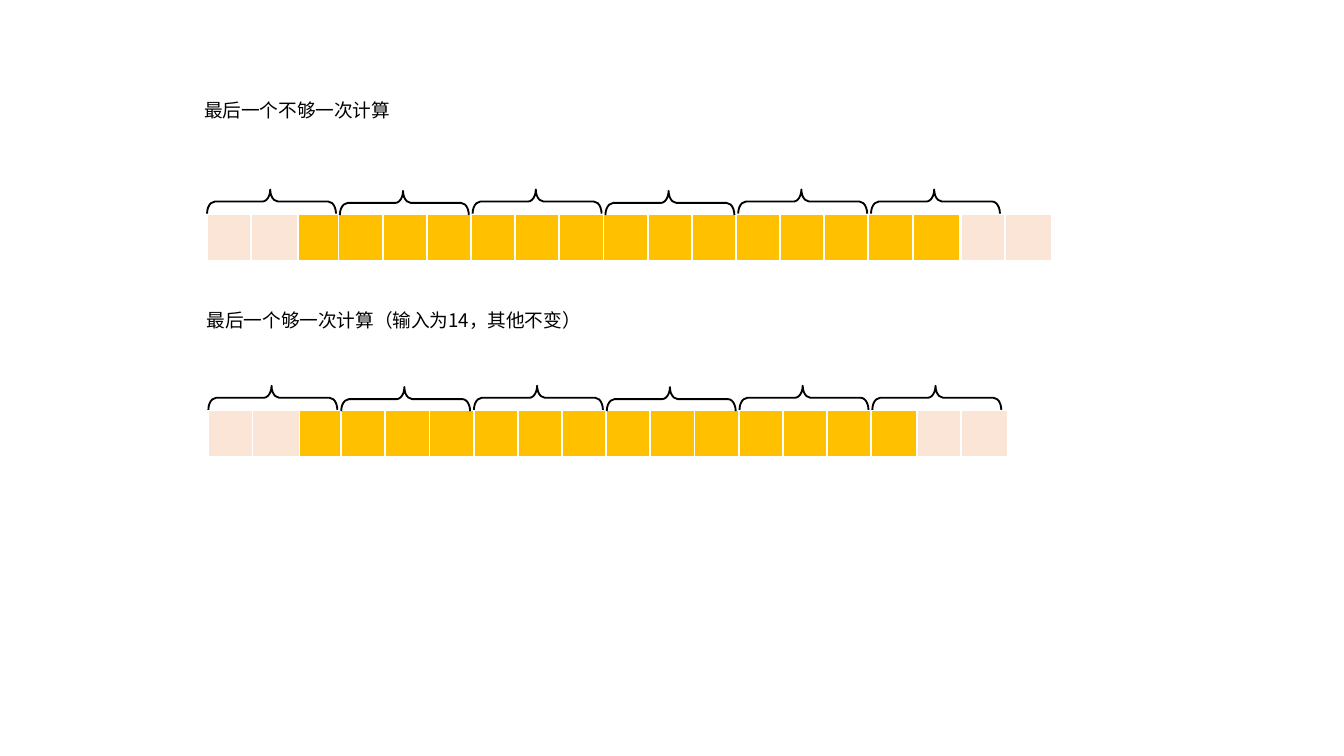
from dataclasses import dataclass

from lxml.etree import SubElement
from pptx import Presentation
from pptx.dml.color import RGBColor
from pptx.enum.shapes import MSO_SHAPE as Preset
from pptx.enum.text import MSO_AUTO_SIZE as AutoSize
from pptx.oxml.ns import qn
from pptx.slide import Slide
from pptx.util import Inches, Pt


@dataclass(frozen=True)
class Theme:
    data: RGBColor = RGBColor(0xFF, 0xC0, 0x00)
    padding: RGBColor = RGBColor(0xFB, 0xE5, 0xD6)
    border: RGBColor = RGBColor(0xFF, 0xFF, 0xFF)
    ink: RGBColor = RGBColor(0x00, 0x00, 0x00)
    font: str = "Noto Sans CJK SC"
    text_size: Pt = Pt(10)
    line_width: Pt = Pt(1)


@dataclass(frozen=True)
class CellRun:
    left: float
    count: int
    color: RGBColor


@dataclass(frozen=True)
class Sequence:
    caption: str
    caption_left: float
    caption_top: float
    caption_width: float
    cell_top: float
    brace_left: float
    runs: tuple[CellRun, ...]


THEME = Theme()
CELL_SIZE = 0.35
CELL_PITCH = 4.6 / 14
BRACE_WIDTH, BRACE_LENGTH = 0.18, 0.96
BRACE_COUNT = 6
BRACE_PITCH = 4.94 / (BRACE_COUNT - 1)
BRACE_RISE = 0.57

SEQUENCES = (
    Sequence("最后一个不够一次计算", 1.42, 0.69, 1.78, 1.59, 1.93, (
        CellRun(2.19, 15, THEME.data),
        CellRun(1.54, 2, THEME.padding),
        CellRun(7.15, 2, THEME.padding),
    )),
    Sequence("最后一个够一次计算（输入为14，其他不变）", 1.44, 2.25, 3.13, 3.05, 1.94, (
        CellRun(2.21, 14, THEME.data),
        CellRun(1.55, 2, THEME.padding),
        CellRun(6.82, 2, THEME.padding),
    )),
)


def draw_cell(slide: Slide, left: float, top: float, color: RGBColor) -> None:
    shape = slide.shapes.add_shape(
        Preset.RECTANGLE, Inches(left), Inches(top), Inches(CELL_SIZE), Inches(CELL_SIZE))
    shape.shadow.inherit = False
    shape.fill.solid()
    shape.fill.fore_color.rgb = color
    shape.line.color.rgb = THEME.border
    shape.line.width = THEME.line_width


def draw_brace(slide: Slide, left: float, top: float) -> None:
    shape = slide.shapes.add_shape(
        Preset.RIGHT_BRACE, Inches(left), Inches(top), Inches(BRACE_WIDTH), Inches(BRACE_LENGTH))
    shape.shadow.inherit = False
    shape.fill.background()
    shape.line.color.rgb = THEME.ink
    shape.line.width = THEME.line_width
    shape.adjustments[0] = 0.32
    shape.adjustments[1] = 0.51
    shape.rotation = 270
    shape._element.spPr.find(qn("a:xfrm")).set("flipV", "1")


def draw_caption(slide: Slide, sequence: Sequence) -> None:
    box = slide.shapes.add_textbox(
        Inches(sequence.caption_left), Inches(sequence.caption_top),
        Inches(sequence.caption_width), Inches(0.27))
    frame = box.text_frame
    frame.word_wrap = True
    frame.auto_size = AutoSize.SHAPE_TO_FIT_TEXT
    paragraph = frame.paragraphs[0]
    paragraph.text = sequence.caption
    paragraph.font.size = THEME.text_size
    paragraph.font.color.rgb = THEME.ink
    paragraph.font.name = THEME.font
    defaults = paragraph._p.pPr.find(qn("a:defRPr"))
    SubElement(defaults, qn("a:ea")).set("typeface", THEME.font)


def draw_sequence(slide: Slide, sequence: Sequence) -> None:
    for run in sequence.runs:
        for index in range(run.count):
            draw_cell(slide, run.left + index * CELL_PITCH, sequence.cell_top, run.color)
    for index in range(BRACE_COUNT):
        drop = 0.01 if index in (1, 3) else 0
        draw_brace(slide, sequence.brace_left + index * BRACE_PITCH,
                   sequence.cell_top - BRACE_RISE + drop)
    draw_caption(slide, sequence)


def main() -> None:
    presentation = Presentation()
    presentation.slide_width = Inches(10)
    presentation.slide_height = Inches(10 * 9 / 16)
    slide = presentation.slides.add_slide(presentation.slide_layouts[6])
    for sequence in SEQUENCES:
        draw_sequence(slide, sequence)
    presentation.save("out.pptx")


if __name__ == "__main__":
    main()
